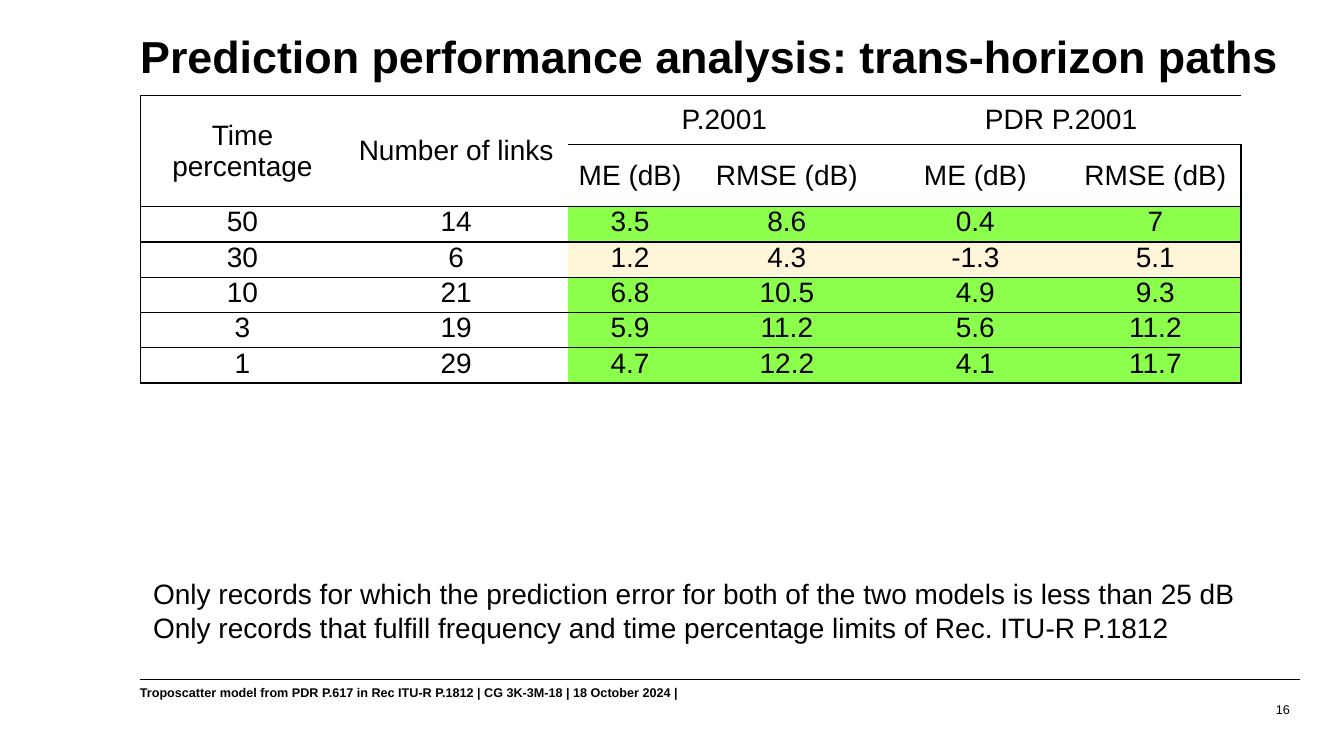
from dataclasses import dataclass

from lxml import etree
from pptx import Presentation
from pptx import util as u
from pptx.dml.color import RGBColor
from pptx.enum import shapes, text
from pptx.oxml import ns

# Grid: one cell is a hundredth of an inch
COLS, ROWS = 1333, 750
CELL = u.Inches(0.01)
FONT, BLACK, WHITE = "Arial", "000000", "FFFFFF"
GREEN, CREAM = "8BFF4B", "FFEBAB"
LEFT, RIGHT = 139, 1289


@dataclass(frozen=True)
class Area:
    col: int
    row: int
    cols: int
    rows: int

    def box(self) -> list[int]:
        return [n * CELL for n in (self.col, self.row, self.cols, self.rows)]


@dataclass(frozen=True)
class Note:
    area: Area
    lines: tuple[str, ...]
    size: int
    bold: bool = False
    wrap: bool = True
    align: text.PP_ALIGN = text.PP_ALIGN.LEFT
    anchor: text.MSO_ANCHOR = text.MSO_ANCHOR.TOP


@dataclass(frozen=True)
class Record:
    cells: tuple[str, ...]
    fill: str = GREEN
    alpha: int = 100


@dataclass(frozen=True)
class Head:
    row: int
    col: int
    label: str
    down: int = 1
    across: int = 1


TITLE = "Prediction performance analysis: trans-horizon paths"
NOTES = (
    Note(Area(129, 675, 753, 25),
         ("Troposcatter model from PDR P.617 in Rec ITU-R P.1812 | CG 3K-3M-18 | 18 October 2024 |",),
         9, bold=True),
    Note(Area(997, 676, 292, 40), ("16",), 9,
         align=text.PP_ALIGN.RIGHT, anchor=text.MSO_ANCHOR.BOTTOM),
    Note(Area(142, 567, 1100, 77),
         ("Only records for which the prediction error for both of the two models is less than 25 dB",
          "Only records that fulfill frequency and time percentage limits of Rec. ITU-R P.1812"),
         20, wrap=False),
)
WIDTHS = (203, 221, 124, 187, 187, 170)
HEIGHTS = (48, 48, 35, 35, 35, 35, 35)
KEYS = 2  # leading columns without a score
HEADS = (
    Head(0, 0, "Time percentage", down=2),
    Head(0, 1, "Number of links", down=2),
    Head(0, 2, "P.2001", across=2),
    Head(0, 4, "PDR P.2001", across=2),
    *(Head(1, col, ("ME (dB)", "RMSE (dB)")[col % 2]) for col in range(2, 6)),
)
RECORDS = (
    Record(("50", "14", "3.5", "8.6", "0.4", "7")),
    Record(("30", "6", "1.2", "4.3", "-1.3", "5.1"), CREAM, 46),
    Record(("10", "21", "6.8", "10.5", "4.9", "9.3")),
    Record(("3", "19", "5.9", "11.2", "5.6", "11.2")),
    Record(("1", "29", "4.7", "12.2", "4.1", "11.7")),
)


def paint(fmt, color: str) -> None:
    fmt.solid()
    fmt.fore_color.rgb = RGBColor.from_string(color)


def style(para, size: int, bold: bool = False) -> None:
    para.font.name, para.font.size, para.font.bold = FONT, u.Pt(size), bold
    paint(para.font.fill, BLACK)


def border(cell, sides: str) -> None:
    """Draw the named sides and clear the others."""
    props = cell._tc.get_or_add_tcPr()
    for side in "LRTB":
        line = etree.SubElement(props, ns.qn(f"a:ln{side}"), w=str(u.Pt(1)))
        if side in sides:
            fill = etree.SubElement(line, ns.qn("a:solidFill"))
            etree.SubElement(fill, ns.qn("a:srgbClr"), val=BLACK)
        else:
            etree.SubElement(line, ns.qn("a:noFill"))


def shade(cell, color: str, alpha: int = 100) -> None:
    paint(cell.fill, color)
    if alpha < 100:
        tone = cell._tc.tcPr.find(".//" + ns.qn("a:srgbClr") + f"[@val='{color}']")
        etree.SubElement(tone, ns.qn("a:alpha"), val=str(alpha * 1000))


def write(cell, label: str, gap: int, anchor: text.MSO_ANCHOR) -> None:
    cell.text = label
    cell.vertical_anchor = anchor
    para = cell.text_frame.paragraphs[0]
    para.alignment = text.PP_ALIGN.CENTER
    para.space_before = para.space_after = u.Pt(gap)
    style(para, 20)


def add_title(slide) -> None:
    title = slide.shapes.title
    title.left, title.top, title.width, title.height = Area(129, 29, 1160, 96).box()
    frame = title.text_frame
    frame.text = TITLE
    frame.auto_size = text.MSO_AUTO_SIZE.NONE
    frame.vertical_anchor = text.MSO_ANCHOR.TOP
    para = frame.paragraphs[0]
    para.alignment, para.line_spacing = text.PP_ALIGN.LEFT, 0.9
    style(para, 32, bold=True)


def add_note(slide, note: Note) -> None:
    frame = slide.shapes.add_textbox(*note.area.box()).text_frame
    frame.text = "\n".join(note.lines)
    frame.word_wrap, frame.vertical_anchor = note.wrap, note.anchor
    for para in frame.paragraphs:
        para.alignment = note.align
        style(para, note.size, note.bold)


def add_rule(slide) -> None:
    rule = slide.shapes.add_connector(
        shapes.MSO_CONNECTOR.STRAIGHT,
        LEFT * CELL, 674 * CELL, RIGHT * CELL, 674 * CELL)
    paint(rule.line.fill, BLACK)
    rule.line.width = u.Pt(0.5)
    etree.SubElement(rule._element.spPr, ns.qn("a:effectLst"))


def add_scores(slide) -> None:
    area = Area(LEFT, 95, sum(WIDTHS), sum(HEIGHTS))
    grid = slide.shapes.add_table(len(HEIGHTS), len(WIDTHS), *area.box()).table
    grid.first_row = grid.horz_banding = False
    for col, width in zip(grid.columns, WIDTHS):
        col.width = width * CELL
    for row, height in zip(grid.rows, HEIGHTS):
        row.height = height * CELL

    # Borders, margins and base fill
    for row in range(len(HEIGHTS)):
        for col in range(len(WIDTHS)):
            cell = grid.cell(row, col)
            sides = {0: "L", len(WIDTHS) - 1: "R"}.get(col, "")
            sides += "" if row == 1 and col < KEYS else "T"
            sides += "" if row == 0 and col < KEYS else "B"
            border(cell, sides)
            shade(cell, WHITE)
            cell.margin_left = cell.margin_right = 7 * CELL
            cell.margin_top = cell.margin_bottom = 0

    # Header cells
    for head in HEADS:
        cell = grid.cell(head.row, head.col)
        if head.down * head.across > 1:
            cell.merge(grid.cell(head.row + head.down - 1, head.col + head.across - 1))
        write(cell, head.label, 4, text.MSO_ANCHOR.MIDDLE)

    # Records
    for row, record in enumerate(RECORDS, start=2):
        for col, label in enumerate(record.cells):
            cell = grid.cell(row, col)
            write(cell, label, 2, text.MSO_ANCHOR.TOP)
            if col >= KEYS:
                shade(cell, record.fill, record.alpha)


def main() -> None:
    deck = Presentation()
    deck.slide_width, deck.slide_height = COLS * CELL, ROWS * CELL
    slide = deck.slides.add_slide(deck.slide_layouts.get_by_name("Title Only"))
    add_rule(slide)
    add_title(slide)
    add_scores(slide)
    for note in NOTES:
        add_note(slide, note)
    deck.save("out.pptx")


if __name__ == "__main__":
    main()
